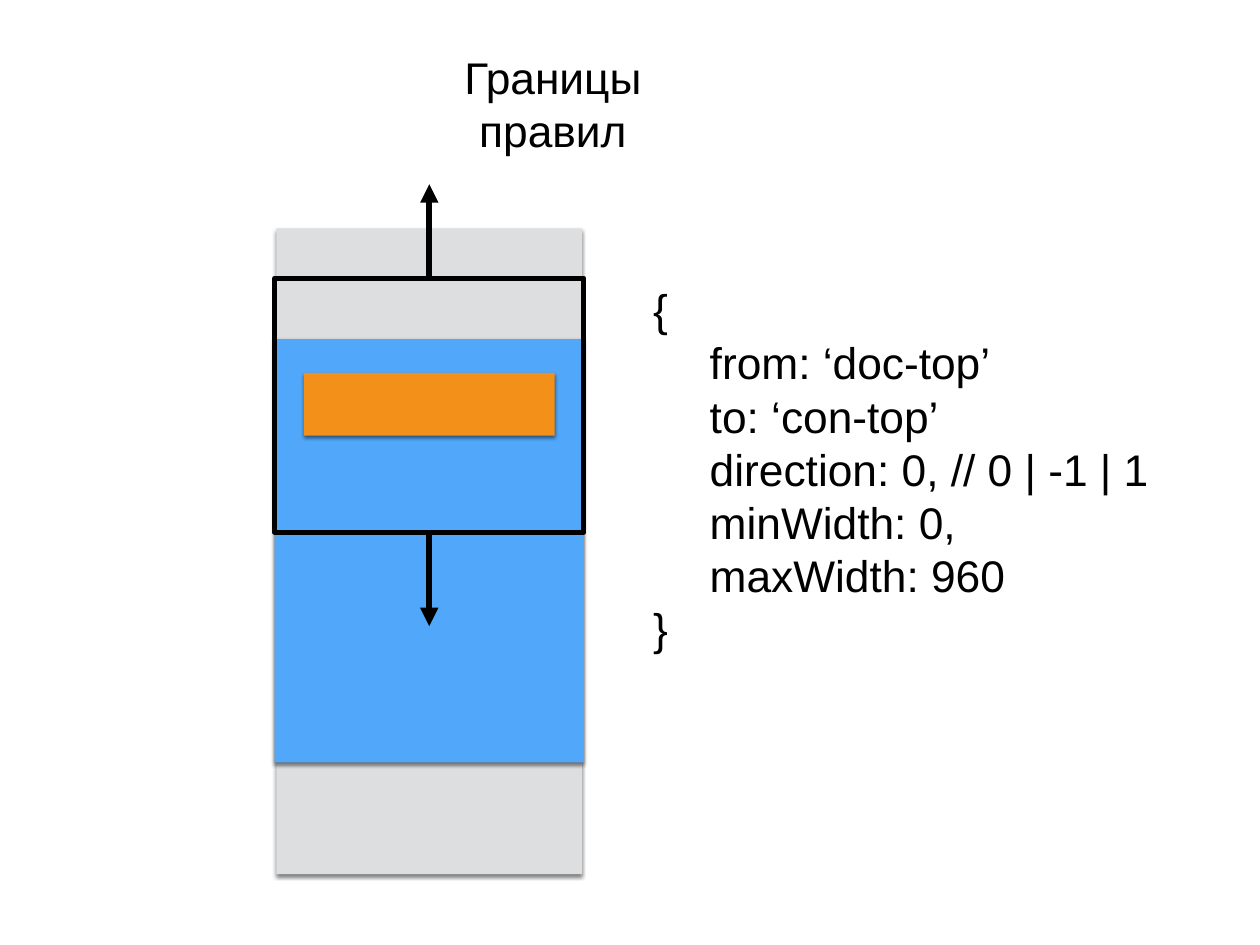
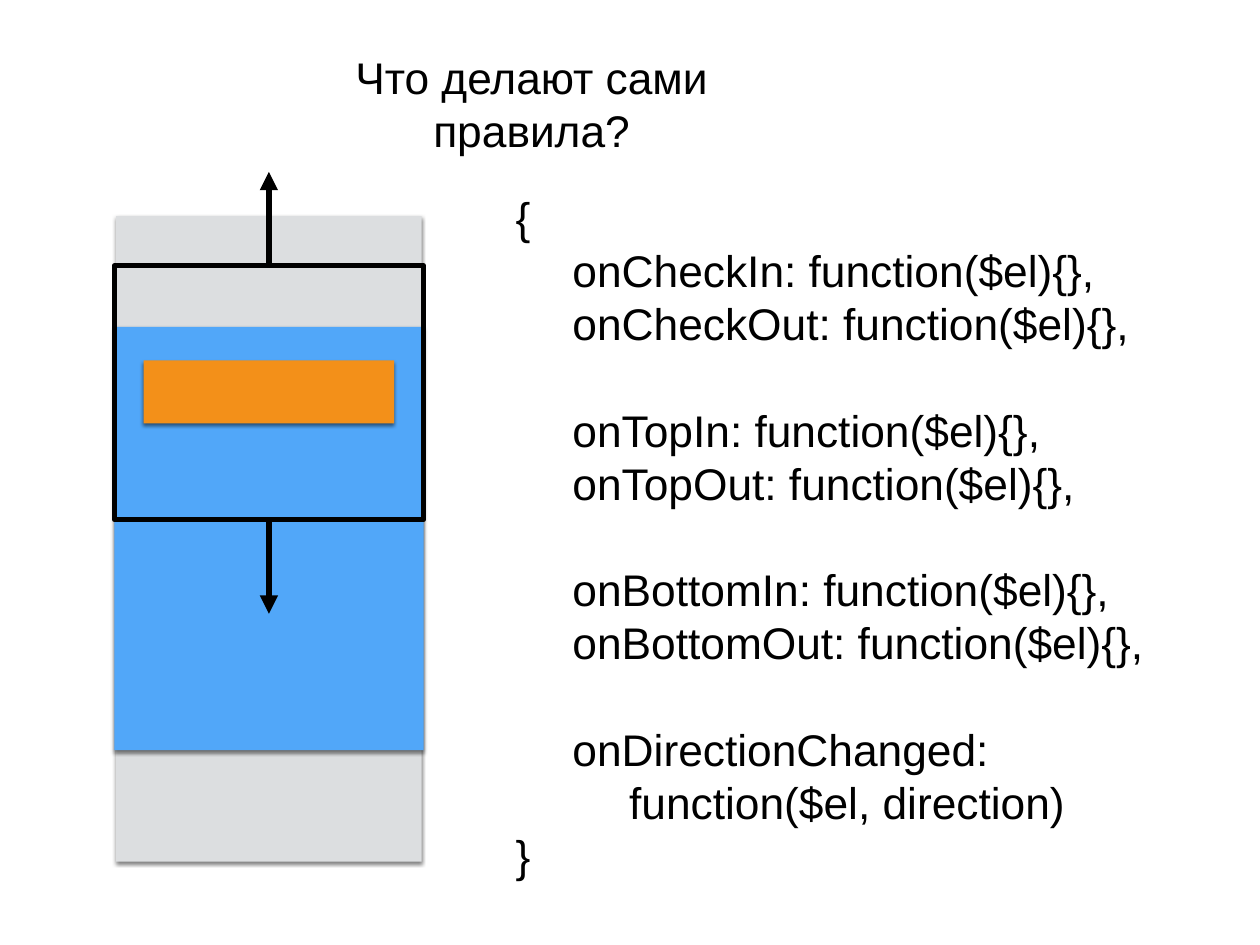
import lxml.etree
import pptx
import pptx.dml.color
import pptx.enum.shapes
import pptx.enum.text
import pptx.oxml
import pptx.oxml.ns
import pptx.util

Inches, Pt = pptx.util.Inches, pptx.util.Pt
RGBColor = pptx.dml.color.RGBColor
RECTANGLE = pptx.enum.shapes.MSO_SHAPE.RECTANGLE
STRAIGHT = pptx.enum.shapes.MSO_CONNECTOR.STRAIGHT
ALIGN, ANCHOR = pptx.enum.text.PP_ALIGN, pptx.enum.text.MSO_ANCHOR
qn = pptx.oxml.ns.qn

BLACK = RGBColor(0x00, 0x00, 0x00)
GRAY = RGBColor(0xDC, 0xDE, 0xE0)
BLUE = RGBColor(0x51, 0xA7, 0xF9)
ORANGE = RGBColor(0xF3, 0x90, 0x19)

TEXT_FORMAT = {"name": "Arial", "size": Pt(36)}
LINE_HEIGHT = Pt(43.2)
INDENT = 0.64
ARROW_LENGTH = 1.06

# Code lines are (indent level, text); None leaves one line free.
SLIDES = [
    {
        "title": "Границы правил",
        "title_box": (5.04, 0.57, 2.4, 1.2),
        "diagram": (3.1, 2.58),
        "code_box": (6.73, 3.19, 6.51, 4.29),
        "code": [
            (1, "{"),
            (2, "from: ‘doc-top’"),
            (2, "to: ‘con-top’"),
            (2, "direction: 0, // 0 | -1 | 1"),
            (2, "minWidth: 0,"),
            (2, "maxWidth: 960"),
            (1, "}"),
        ],
    },
    {
        "title": "Что делают сами правила?",
        "title_box": (3.9, 0.57, 4.2, 1.2),
        "diagram": (1.29, 2.44),
        "code_box": (5.82, 2.15, 8.11, 7.88),
        "code": [
            (0, "{"),
            (1, "onCheckIn: function($el){},"),
            (1, "onCheckOut: function($el){},"),
            None,
            (1, "onTopIn: function($el){},"),
            (1, "onTopOut: function($el){},"),
            None,
            (1, "onBottomIn: function($el){},"),
            (1, "onBottomOut: function($el){},"),
            None,
            (1, "onDirectionChanged:"),
            (2, "function($el, direction)"),
            (0, "}"),
        ],
    },
]

# Top, width, height and fill inside the diagram; every block is centred.
DIAGRAM_WIDTH = 3.49
BLOCKS = [
    (0, 3.45, 7.29, GRAY),
    (1.25, 3.49, 4.78, BLUE),
    (1.63, 2.83, 0.71, ORANGE),
]
VIEWPORT_TOP, VIEWPORT_HEIGHT = 0.56, 2.87

SHADOW = (
    '<a:outerShdw xmlns:a="http://schemas.openxmlformats.org/drawingml/2006/main" '
    f'blurRad="{Pt(3)}" dist="{Pt(2)}" dir="5400000" rotWithShape="0">'
    '<a:srgbClr val="000000"><a:alpha val="50000"/></a:srgbClr></a:outerShdw>'
)


def add_rectangle(shapes, left, top, width, height):
    box = shapes.add_shape(RECTANGLE, *map(Inches, (left, top, width, height)))
    box.shadow.inherit = False
    return box


def add_block(shapes, left, top, width, height, color):
    block = add_rectangle(shapes, left, top, width, height)
    block.fill.solid()
    block.fill.fore_color.rgb = color
    block.line.fill.background()
    effects = block._element.spPr.find(qn("a:effectLst"))
    effects.append(pptx.oxml.parse_xml(SHADOW))


def add_arrow(shapes, viewport, site, x, start, end):
    """Draw a vertical arrow out of one connection site of the viewport."""
    arrow = shapes.add_connector(STRAIGHT, *map(Inches, (x, start, x, end)))
    arrow.begin_connect(viewport, site)
    arrow.line.color.rgb = BLACK
    arrow.line.width = Pt(5)
    lxml.etree.SubElement(arrow.line._get_or_add_ln() if hasattr(arrow.line, "_get_or_add_ln")
                          else arrow.get_or_add_ln(), qn("a:tailEnd"), type="triangle")
    lxml.etree.SubElement(arrow._element.spPr, qn("a:effectLst"))


def add_diagram(page, left, top):
    center = left + DIAGRAM_WIDTH / 2
    for offset, width, height, color in BLOCKS:
        add_block(page.shapes, center - width / 2, top + offset, width, height, color)

    group = page.shapes.add_group_shape().shapes
    upper = top + VIEWPORT_TOP
    lower = upper + VIEWPORT_HEIGHT
    viewport = add_rectangle(group, left, upper, DIAGRAM_WIDTH, VIEWPORT_HEIGHT)
    viewport.fill.background()
    viewport.line.color.rgb = BLACK
    viewport.line.width = Pt(4)
    add_arrow(group, viewport, 0, center, upper, upper - ARROW_LENGTH)
    add_arrow(group, viewport, 2, center, lower, lower + ARROW_LENGTH)


def add_text_frame(page, place, margin, anchor):
    frame = page.shapes.add_textbox(*map(Inches, place)).text_frame
    frame.word_wrap = True
    frame.vertical_anchor = anchor
    for side in ("left", "top", "right", "bottom"):
        setattr(frame, f"margin_{side}", Inches(margin))
    return frame


def write(para, text):
    para.line_spacing = LINE_HEIGHT
    span = para.add_run()
    span.text = text
    for name, value in TEXT_FORMAT.items():
        setattr(span.font, name, value)
    span.font.color.rgb = BLACK


def add_title(page, text, place):
    para = add_text_frame(page, place, 0.06, ANCHOR.MIDDLE).paragraphs[0]
    para.alignment = ALIGN.CENTER
    write(para, text)


def add_code(page, lines, place):
    frame = add_text_frame(page, place, 0, ANCHOR.TOP)
    for index, line in enumerate(lines):
        if line is None:
            continue
        level, text = line
        para = frame.add_paragraph() if index else frame.paragraphs[0]
        para._p.get_or_add_pPr().set("marL", str(Inches(level * INDENT)))
        if index and lines[index - 1] is None:
            para.space_before = LINE_HEIGHT
        write(para, text)


def main():
    deck = pptx.Presentation()
    deck.slide_width, deck.slide_height = Inches(14.22), Inches(10.67)
    for content in SLIDES:
        page = deck.slides.add_slide(deck.slide_layouts[6])
        add_diagram(page, *content["diagram"])
        add_title(page, content["title"], content["title_box"])
        add_code(page, content["code"], content["code_box"])
    deck.save("out.pptx")


if __name__ == "__main__":
    main()
